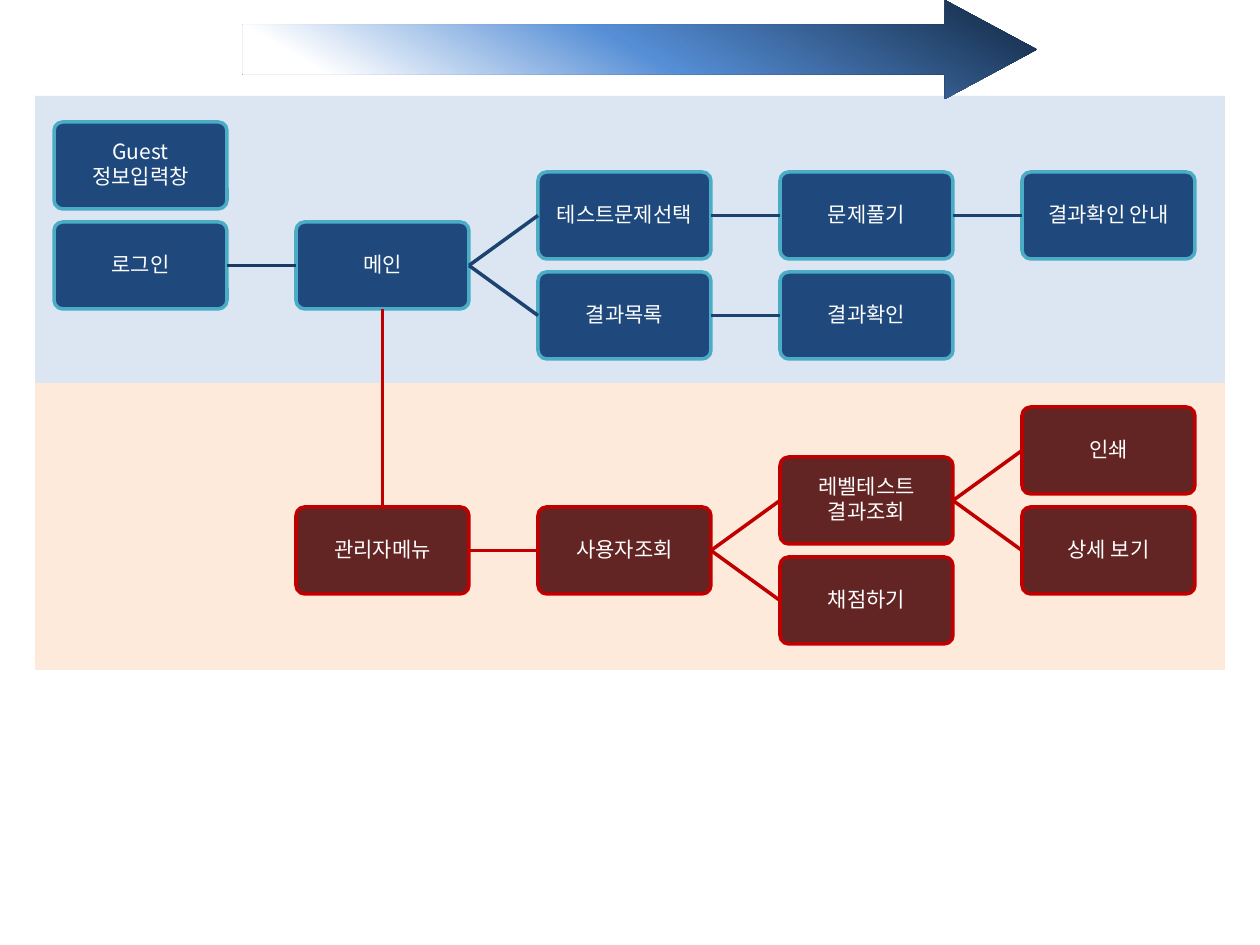
from copy import deepcopy

from lxml.etree import SubElement
from pptx import Presentation
from pptx.dml.color import RGBColor
from pptx.enum.shapes import MSO_CONNECTOR, MSO_SHAPE
from pptx.enum.text import MSO_ANCHOR, PP_ALIGN
from pptx.oxml.ns import qn
from pptx.util import Emu, Pt

SCALE = 914400 / 126
FONT = "Noto Sans CJK KR"
COLORS = {
    "user": "DCE6F2", "admin": "FDEADA",
    "blue": "1F497D", "teal": "4BACC6", "navy": "193A64", "link": "1C4271",
    "brown": "632523", "red": "C00000",
    "dark": "0F243E", "sky": "558ED5", "white": "FFFFFF",
}
LEFT, STEP, RISE = 54, 242, 50
WIDE, HIGH = 173, 87
TOP, LEFT_SIDE, BOTTOM, RIGHT = range(4)

USER = {
    "Guest\n정보입력창": (0, 0), "로그인": (0, 2), "메인": (1, 2),
    "테스트문제선택": (2, 1), "문제풀기": (3, 1), "결과확인 안내": (4, 1),
    "결과목록": (2, 3), "결과확인": (3, 3),
}
ADMIN = {
    "관리자메뉴": (1, 2), "사용자조회": (2, 2), "레벨테스트\n결과조회": (3, 1),
    "인쇄": (4, 0), "상세 보기": (4, 2), "채점하기": (3, 3),
}
LINKS = [
    ("로그인", "메인", "navy"),
    ("메인", "테스트문제선택", "link"),
    ("테스트문제선택", "문제풀기", "link"),
    ("문제풀기", "결과확인 안내", "link"),
    ("메인", "결과목록", "link"),
    ("결과목록", "결과확인", "link"),
    ("관리자메뉴", "사용자조회", "red"),
    ("사용자조회", "레벨테스트\n결과조회", "red"),
    ("레벨테스트\n결과조회", "인쇄", "red"),
    ("레벨테스트\n결과조회", "상세 보기", "red"),
    ("사용자조회", "채점하기", "red"),
]


def px(size):
    """Turn px into EMU."""
    return Emu(round(size * SCALE))


def rgb(name):
    """Look up a colour by name."""
    return RGBColor.from_string(COLORS[name])


def shape(slide, kind, box, fill=None, line=None):
    """Add a flat preset shape."""
    item = slide.shapes.add_shape(kind, *map(px, box))
    item.shadow.inherit = False
    if fill:
        item.fill.solid()
        item.fill.fore_color.rgb = rgb(fill)
    if line:
        item.line.color.rgb = rgb(line)
        item.line.width = Pt(2)
    else:
        item.line.fill.background()
    return item


def write(item, text, size=12, color="white", align=PP_ALIGN.CENTER, inset=1):
    """Write text into a shape, one paragraph a line."""
    frame = item.text_frame
    frame.word_wrap = True
    frame.vertical_anchor = MSO_ANCHOR.MIDDLE
    frame.margin_left = frame.margin_right = px(inset)
    frame.margin_top = frame.margin_bottom = px(inset)
    frame.text = text
    for para in frame.paragraphs:
        para.alignment = align
        para.line_spacing = 0.9
        para.space_after = Pt(1.5)
        font = para.runs[0].font
        font.name, font.size = FONT, Pt(size)
        font.color.rgb = rgb(color)
        SubElement(para.runs[0].font._element, qn("a:ea"), typeface=FONT)


def nodes(slide, grid, top, fill, line):
    """Add the rounded boxes of one map and return them by label."""
    found = {}
    for text, (col, row) in grid.items():
        box = LEFT + col * STEP, top + row * RISE, WIDE, HIGH
        item = shape(slide, MSO_SHAPE.ROUNDED_RECTANGLE, box, fill, line)
        item.adjustments[0] = 0.1
        write(item, text)
        found[text] = item
    return found


def link(slide, start, end, color, sides=(RIGHT, LEFT_SIDE), width=2):
    """Join two boxes with a straight line."""
    line = slide.shapes.add_connector(MSO_CONNECTOR.STRAIGHT, 0, 0, 0, 0)
    line.begin_connect(start, sides[0])
    line.end_connect(end, sides[1])
    line.line.color.rgb = rgb(color)
    line.line.width = Pt(width)
    SubElement(line._element.spPr, qn("a:effectLst"))


def arrow(slide, box):
    """Add the wide arrow with its three-colour gradient."""
    item = shape(slide, MSO_SHAPE.RIGHT_ARROW, box)
    item.adjustments[0], item.adjustments[1] = 0.5, 0.93
    item.fill.gradient()
    item.fill.gradient_angle = 240
    stops = item._element.spPr.find(".//" + qn("a:gsLst"))
    stops.append(deepcopy(stops[0]))
    shades = ("dark", 0), ("sky", 0.5), ("white", 0.87)
    for stop, (color, place) in zip(item.fill.gradient_stops, shades):
        stop.color.rgb = rgb(color)
        stop.position = place


def main():
    """Build and save the slide."""
    deck = Presentation()
    deck.slide_width, deck.slide_height = px(1260), px(945)
    slide = deck.slides.add_slide(deck.slide_layouts[6])
    for row, fill in enumerate(("user", "admin")):
        shape(slide, MSO_SHAPE.RECTANGLE, (35, 96 + row * 287, 1190, 287), fill)
    boxes = nodes(slide, USER, 122, "blue", "teal")
    boxes.update(nodes(slide, ADMIN, 407, "brown", "red"))
    link(slide, boxes["메인"], boxes["관리자메뉴"], "red", (BOTTOM, TOP), 1.5)
    for start, end, color in LINKS:
        link(slide, boxes[start], boxes[end], color)
    arrow(slide, (243, 0, 794, 99))
    deck.save("out.pptx")


if __name__ == "__main__":
    main()
